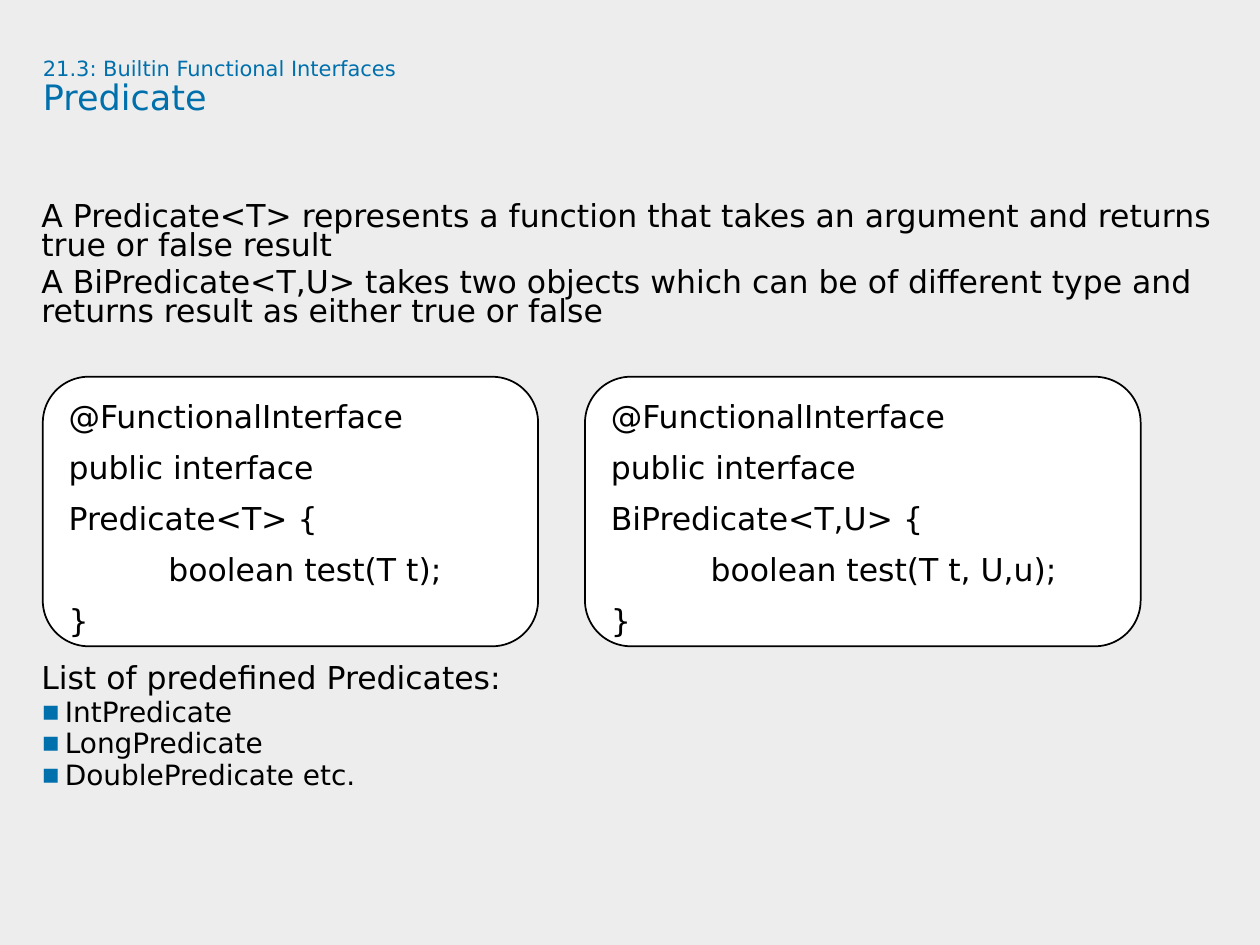
import pptx
import pptx.dml.color
import pptx.enum.shapes
import pptx.enum.text
import pptx.oxml
import pptx.oxml.ns
import pptx.util
from dataclasses import dataclass

Pt = pptx.util.Pt
Color = pptx.dml.color.RGBColor


@dataclass(frozen=True)
class Theme:
    font: str = "DejaVu Sans"
    accent: Color = Color(0x00, 0x70, 0xAD)
    ink: Color = Color(0, 0, 0)
    panel: Color = Color(255, 255, 255)
    backdrop: Color = Color(0xED, 0xED, 0xED)
    section: int = 12
    title: int = 20
    body: int = 18
    bullet: int = 16


theme = Theme()


def style(font, size, color):
    font.name = theme.font
    font.size = Pt(size)
    font.color.rgb = color


def add_text_frame(left, top, width, height):
    frame = page.shapes.add_textbox(Pt(left), Pt(top), Pt(width), Pt(height)).text_frame
    frame.word_wrap = True
    frame.margin_left = frame.margin_right = frame.margin_top = frame.margin_bottom = 0
    return frame


deck = pptx.Presentation()
deck.slide_width, deck.slide_height = Pt(720), Pt(540)
page = deck.slides.add_slide(deck.slide_layouts[6])
page.background.fill.solid()
page.background.fill.fore_color.rgb = theme.backdrop

heading = add_text_frame(24.5, 33.1, 654.5, 67.7).paragraphs[0]
heading.line_spacing = 0.9
section = heading.add_run()
section.text = "21.3: Builtin Functional Interfaces"
style(section.font, theme.section, theme.accent)
heading.add_line_break()
title = heading.add_run()
title.text = "Predicate"
style(title.font, theme.title, theme.accent)

descriptions = [
    "A Predicate<T> represents a function that takes an argument and returns true or false result",
    "A BiPredicate<T,U> takes two objects which can be of different type and returns result as either true or false",
]
predefined = ["IntPredicate", "LongPredicate", "DoublePredicate etc."]
sections = [
    (117.4, 75, descriptions, []),
    (381.4, 80, ["List of predefined Predicates:"], predefined),
]
for top, height, sentences, bullets in sections:
    frame = add_text_frame(23.6, top, 696.4, height)
    for index, text in enumerate(sentences + bullets):
        para = frame.paragraphs[0] if index == 0 else frame.add_paragraph()
        para.text = text
        para.space_after = Pt(4.5)
        is_bullet = index >= len(sentences)
        para.line_spacing = Pt(13.5 if is_bullet else 16.5)
        if is_bullet:
            properties = para._p.get_or_add_pPr()
            properties.set("marL", str(Pt(13.5)))
            properties.set("indent", str(-Pt(13.5)))
            namespace = pptx.oxml.ns.nsdecls("a")
            for markup in (
                f'<a:buClr {namespace}><a:srgbClr val="{theme.accent}"/></a:buClr>',
                f'<a:buFont {namespace} typeface="{theme.font}"/>',
                f'<a:buChar {namespace} char="▪"/>',
            ):
                properties.append(pptx.oxml.parse_xml(markup))
        style(para.font, theme.bullet if is_bullet else theme.body, theme.ink)

code_panels = [
    (24.5, 283, "Predicate<T>", "T t"),
    (334.3, 317.5, "BiPredicate<T,U>", "T t, U,u"),
]
for left, width, interface, arguments in code_panels:
    panel = page.shapes.add_shape(
        pptx.enum.shapes.MSO_SHAPE.ROUNDED_RECTANGLE, Pt(left), Pt(215.3), Pt(width), Pt(154)
    )
    panel.adjustments[0] = 0.17
    panel.shadow.inherit = False
    panel.fill.solid()
    panel.fill.fore_color.rgb = theme.panel
    panel.line.color.rgb = theme.ink
    panel.line.width = Pt(1)
    frame = panel.text_frame
    frame.word_wrap = True
    frame.vertical_anchor = pptx.enum.text.MSO_ANCHOR.MIDDLE
    code = [
        "@FunctionalInterface",
        f"public interface {interface} {{",
        f"          boolean test({arguments});",
        "}",
    ]
    for index, text in enumerate(code):
        para = frame.paragraphs[0] if index == 0 else frame.add_paragraph()
        para.text = text
        para.alignment = pptx.enum.text.PP_ALIGN.LEFT
        para.line_spacing = 1.35
        style(para.font, theme.body, theme.ink)

deck.save("out.pptx")
